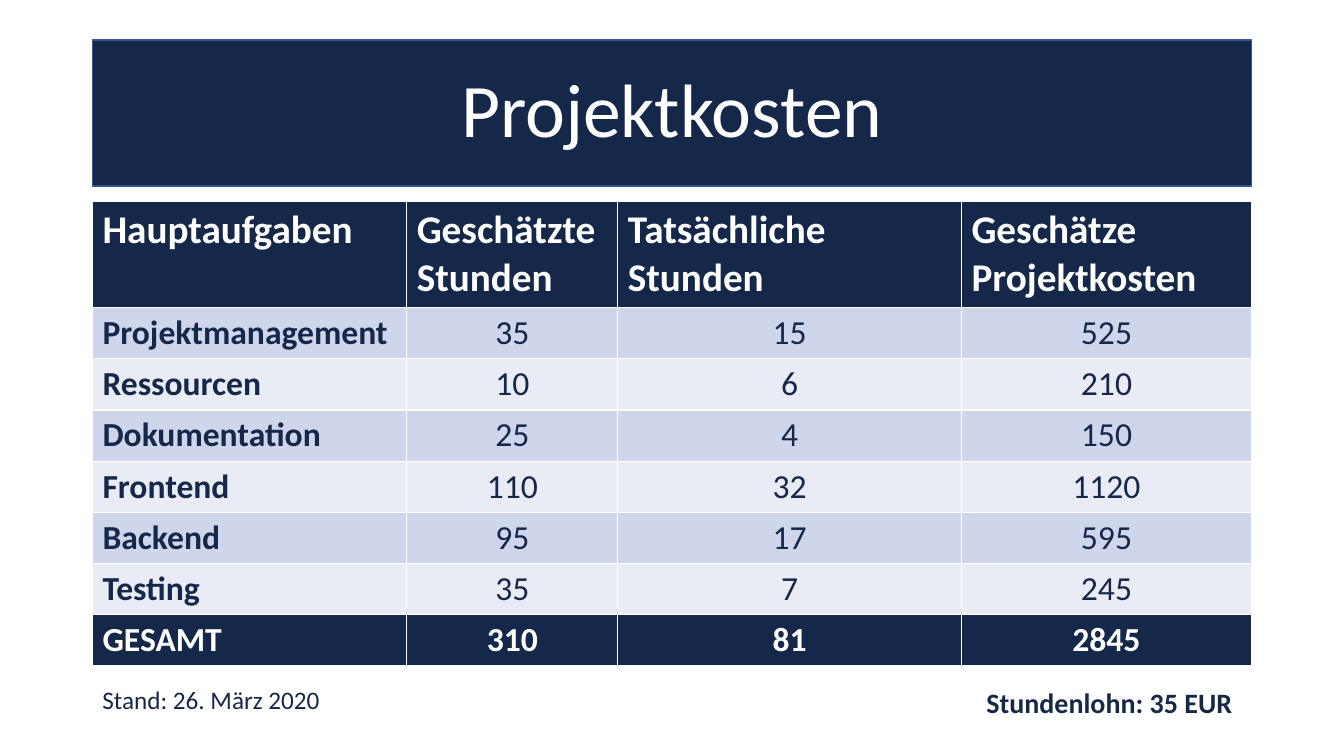
"""Builds the project cost slide with its table of hours."""
from pptx import Presentation
from pptx.dml.color import RGBColor
from pptx.enum.shapes import MSO_SHAPE
from pptx.enum.text import MSO_ANCHOR, PP_ALIGN
from pptx.util import Cm, Pt

TITLE = "Projektkosten"
HEAD = ("Hauptaufgaben", "Geschätzte Stunden", "Tatsächliche Stunden", "Geschätze Projektkosten")
TASKS = [
    ("Projektmanagement", 35, 15, 525),
    ("Ressourcen", 10, 6, 210),
    ("Dokumentation", 25, 4, 150),
    ("Frontend", 110, 32, 1120),
    ("Backend", 95, 17, 595),
    ("Testing", 35, 7, 245),
]
TOTAL = ("GESAMT", 310, 81, 2845)
NOTES = [
    ("Stand: 26. März 2020", 2.33, 17.12, 1.02, 18, False),
    ("Stundenlohn: 35 EUR", 24.61, 17.15, 1.11, 20, True),
]
COLORS = {"navy": "162849", "edge": "325491", "white": "FFFFFF", "odd": "CFD5EA", "even": "E9EBF5"}
LEFT, WIDTH = 2.33, 29.21
COLS = (7.92, 5.32, 8.66, 7.31)
HEAD_H, ROW_H = 2.66, 1.29


def tint(name):
    return RGBColor.from_string(COLORS[name])


def paint(item, name):
    item.fill.solid()
    item.fill.fore_color.rgb = tint(name)


def write(frame, text, size=24, color="navy", bold=False, align=PP_ALIGN.LEFT, space=1.0):
    frame.word_wrap = True
    para = frame.paragraphs[0]
    para.alignment = align
    para.line_spacing = space
    run = para.add_run()
    run.text = str(text)
    font = run.font
    font.name, font.size, font.bold = "Calibri", Pt(size), bold
    font.color.rgb = tint(color)


def add_title(slide):
    bar = slide.shapes.add_shape(MSO_SHAPE.RECTANGLE, Cm(LEFT), Cm(1.01), Cm(WIDTH), Cm(3.68))
    bar.shadow.inherit = False
    paint(bar, "navy")
    bar.line.color.rgb = tint("edge")
    bar.line.width = Pt(1)
    bar.text_frame.vertical_anchor = MSO_ANCHOR.MIDDLE
    write(bar.text_frame, TITLE, size=54, color="white", align=PP_ALIGN.CENTER, space=0.9)


def add_costs(slide):
    rows = [HEAD, *TASKS, TOTAL]
    last = len(rows) - 1
    high = HEAD_H + last * ROW_H
    table = slide.shapes.add_table(
        len(rows), len(COLS), Cm(LEFT), Cm(5.08), Cm(WIDTH), Cm(high)).table
    for col, wide in zip(table.columns, COLS):
        col.width = Cm(wide)
    for r, row in enumerate(rows):
        table.rows[r].height = Cm(ROW_H if r else HEAD_H)
        dark = r in (0, last)
        fill = "navy" if dark else "odd" if r % 2 else "even"
        for c, text in enumerate(row):
            cell = table.cell(r, c)
            paint(cell, fill)
            write(cell.text_frame, text, size=24 if r else 28,
                  color="white" if dark else "navy", bold=dark or c == 0,
                  align=PP_ALIGN.CENTER if r and c else PP_ALIGN.LEFT)


def add_notes(slide):
    for text, left, top, high, size, bold in NOTES:
        box = slide.shapes.add_textbox(Cm(left), Cm(top), Cm(6.93), Cm(high))
        write(box.text_frame, text, size=size, bold=bold)


def main():
    deck = Presentation()
    deck.slide_width, deck.slide_height = Cm(33.87), Cm(19.05)
    slide = deck.slides.add_slide(deck.slide_layouts[6])
    add_title(slide)
    add_costs(slide)
    add_notes(slide)
    deck.save("out.pptx")


if __name__ == "__main__":
    main()
